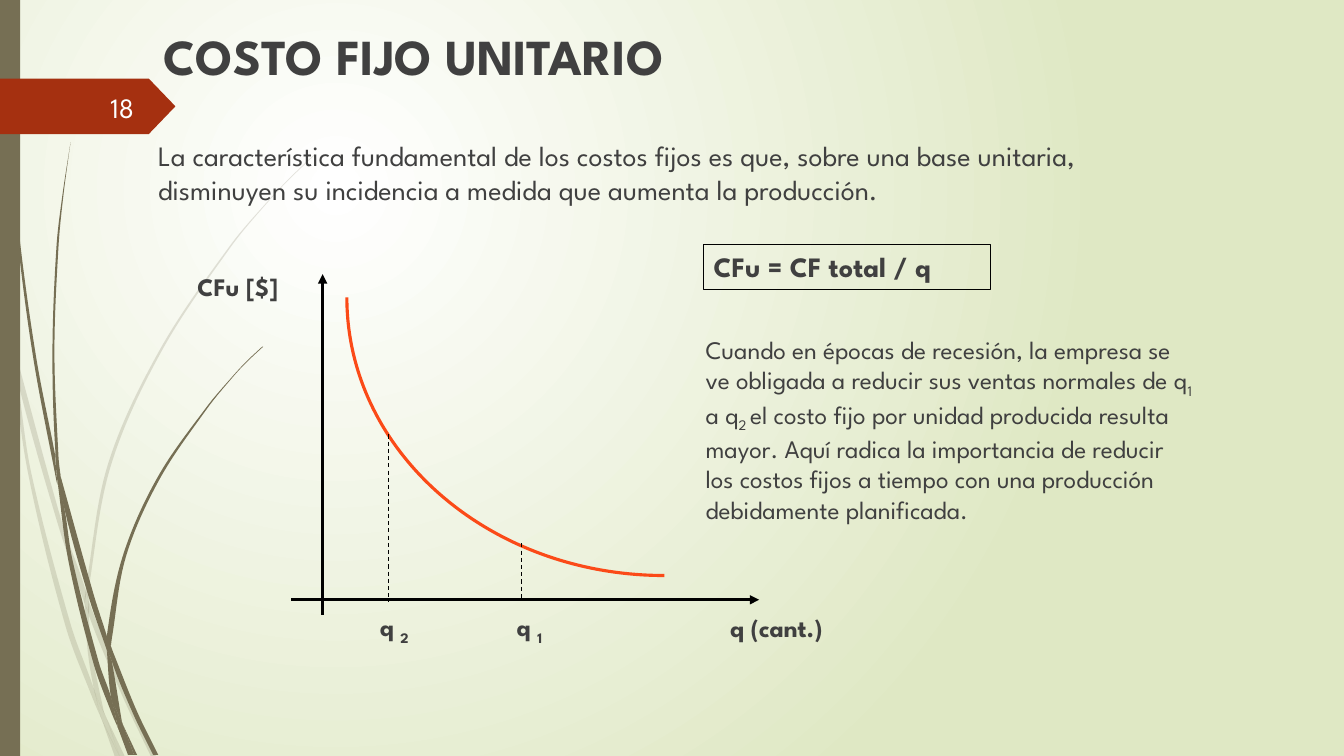
"""Build the slide on unit fixed cost."""
from math import dist

from pptx import Presentation
from pptx.dml.color import RGBColor
from pptx.enum.dml import MSO_LINE
from pptx.enum.shapes import MSO_CONNECTOR, MSO_SHAPE
from pptx.enum.text import MSO_ANCHOR, PP_ALIGN
from pptx.oxml import parse_xml
from pptx.oxml.ns import nsdecls, qn
from pptx.oxml.xmlchemy import OxmlElement
from pptx.util import Inches, Pt

FONT = "League Spartan"
COLORS = {"text": "404040", "white": "FFFFFF", "pale": "DFE8C4", "olive": "766F54",
          "red": "A53010", "curve": "FB4A18", "axis": "000000", "number": "FEFFFF"}

TITLE, FORMULA, PAGE = "COSTO FIJO UNITARIO", "CFu = CF total / q", "18"
INTRO = ("La característica fundamental de los costos fijos es que, sobre una base unitaria, "
         "disminuyen su incidencia a medida que aumenta la producción.")
RECESSION = [
    ("Cuando en épocas de recesión, la empresa se ve obligada a reducir sus ventas "
     "normales de q", False),
    ("1", True), (" a q", False), ("2 ", True),
    ("el costo fijo por unidad producida resulta mayor. Aquí radica la importancia de reducir "
     "los costos fijos a tiempo con una producción debidamente planificada.", False)]

# box, runs as (text, subscript), size, bold, alignment
TEXTS = [
    ((1.47, 1.33, 10.3, 0.77), [(INTRO, False)], 20, False, PP_ALIGN.LEFT),
    ((1.86, 2.64, 1.34, 0.4), [("CFu [$]", False)], 18, True, PP_ALIGN.LEFT),
    ((7.14, 6.03, 1.34, 0.4), [("q (cant.)", False)], 18, True, PP_ALIGN.LEFT),
    ((3.36, 6.02, 1.1, 0.4), [("q ", False), ("2", True)], 18, True, PP_ALIGN.CENTER),
    ((4.7, 6.02, 1.1, 0.4), [("q ", False), ("1", True)], 18, True, PP_ALIGN.CENTER),
    ((6.9, 3.27, 5.04, 2.2), RECESSION, 18, False, PP_ALIGN.LEFT)]

AXES = [(3.2, 6.1, 3.2, 2.72), (2.89, 5.95, 7.53, 5.95)]
GUIDES = [(3.85, 4.31, 3.85, 5.96), (5.17, 5.39, 5.17, 5.95)]
COST_START, COST_CURVE = (6.59, 5.71), [((4.85, 5.71), (3.44, 4.48), (3.44, 2.95))]

PALE_GRASS = [
    [(0.11, 3.5), (0.09, 3.22), (0, 2.82), (0, 2.99), (0.1, 3.44)],
    [(0.58, 5.22), (0.84, 5.99), (0.85, 5.86), (0.62, 5.2), (0.14, 3.45), (0.17, 3.76)],
    [(0.92, 6.07), (0.88, 5.96), (0.88, 6.1), (1.23, 6.94), (1.5, 7.51), (1.55, 7.51),
     (1.27, 6.92)],
    [(1.19, 7.51), (1.24, 7.51), (1.05, 7.11)],
    [(0.93, 6.83), (0.7, 6.19), (0.31, 4.69), (0.17, 3.76), (0.11, 3.5), (0.28, 4.7),
     (0.65, 6.21), (0.92, 6.93), (1.01, 7.14), (0.99, 7.07)],
    [(0.84, 5.99), (0.87, 6.46), (0.93, 6.83), (0.96, 6.92), (1.05, 7.11), (1.03, 7.06),
     (0.91, 6.46), (0.88, 6.1), (0.88, 6.08)],
    [(0.88, 5.84), (1.1, 4.62), (1.6, 3.49), (2.29, 2.45), (2.68, 1.98), (2.9, 1.75),
     (3.12, 1.54), (3.12, 1.53), (2.89, 1.75), (2.68, 1.97), (2.28, 2.44), (1.58, 3.48),
     (1.07, 4.61), (0.85, 5.84), (0.85, 5.86), (0.88, 5.96)],
    [(1.01, 7.14), (1.14, 7.51), (1.19, 7.51)],
    [(0.88, 6.08), (0.88, 6.1), (0.88, 5.96), (0.85, 5.86), (0.84, 5.99)],
    [(0.96, 6.92), (0.93, 6.83), (0.99, 7.07), (1.01, 7.14), (1.19, 7.51), (1.05, 7.11)]]
DARK_GRASS = [
    [(0.07, 1.1), (0.17, 2.33), (0.33, 3.55), (0.56, 4.77), (0.57, 4.81), (0.55, 4.57),
     (0.55, 4.53), (0.36, 3.55), (0.19, 2.32), (0.08, 1.09), (0.05, 0.48), (0.04, 0),
     (0.03, 0), (0.04, 0.48)],
    [(0.88, 5.92), (1.06, 6.45), (1.06, 6.33), (1.06, 6.31), (0.93, 5.9), (0.6, 4.72),
     (0.64, 5.05)],
    [(1.13, 6.49), (1.1, 6.41), (1.11, 6.56), (1.32, 7.08), (1.52, 7.49), (1.57, 7.49),
     (1.36, 7.06)],
    [(1.1, 6.91), (0.98, 6.57), (0.72, 5.56), (0.64, 5.05), (0.57, 4.77), (0.68, 5.57),
     (0.93, 6.59), (1.11, 7.08), (1.17, 7.22), (1.16, 7.17)],
    [(0.6, 4.72), (0.58, 4.53), (0.54, 3.49), (0.58, 2.45), (0.63, 1.93), (0.7, 1.41),
     (0.62, 1.93), (0.56, 2.45), (0.52, 3.49), (0.55, 4.49)],
    [(1.33, 7.49), (1.36, 7.49), (1.22, 7.19)],
    [(0.57, 4.77), (0.64, 5.05), (0.6, 4.72), (0.55, 4.49), (0.55, 4.53)],
    [(1.11, 6.33), (1.25, 5.52), (1.58, 4.76), (2.05, 4.06), (2.31, 3.74), (2.45, 3.59),
     (2.61, 3.44), (2.6, 3.44), (2.45, 3.58), (2.31, 3.73), (2.04, 4.05), (1.56, 4.74),
     (1.22, 5.51), (1.06, 6.31), (1.1, 6.41)],
    [(1.17, 7.22), (1.27, 7.49), (1.31, 7.49)],
    [(1.06, 6.45), (1.1, 6.91), (1.16, 7.06), (1.22, 7.19), (1.21, 7.16), (1.11, 6.56),
     (1.09, 6.51)],
    [(1.06, 6.45), (1.09, 6.51), (1.11, 6.56), (1.1, 6.41), (1.06, 6.31), (1.06, 6.33)],
    [(1.16, 7.06), (1.1, 6.91), (1.16, 7.17), (1.17, 7.22), (1.3, 7.49), (1.33, 7.49),
     (1.22, 7.19)]]


def rgb(name):
    return RGBColor.from_string(COLORS[name])


def smooth(points):
    """Return cubic segments through a closed outline, keeping sharp corners."""
    def handle(before, at, after, sign):
        (ax, ay), (bx, by), (cx, cy) = before, at, after
        d_in, d_out = dist(before, at), dist(at, after)
        near, length = (after, d_out) if sign > 0 else (before, d_in)
        if (bx - ax) * (cx - bx) + (by - ay) * (cy - by) < 0.8 * d_in * d_out:
            return bx + (near[0] - bx) / 3, by + (near[1] - by) / 3
        k = sign * length / 3 / dist(before, after)
        return bx + k * (cx - ax), by + k * (cy - ay)

    n = len(points)
    for i in range(n):
        a, b, c, d = (points[(i + j) % n] for j in (-1, 0, 1, 2))
        yield handle(a, b, c, 1), handle(b, c, d, -1), c


def add_curves(shapes, start, segments, close):
    segments = list(segments)
    builder = shapes.build_freeform(*map(Inches, start))
    builder.add_line_segments([tuple(map(Inches, seg[2])) for seg in segments], close=close)
    sp = builder.convert_to_shape()
    sp.shadow.inherit = False
    for line, seg in zip(sp._element.findall(".//" + qn("a:lnTo")), segments):
        bezier = OxmlElement("a:cubicBezTo")
        for x, y in seg:
            pt = OxmlElement("a:pt")
            pt.set("x", str(Inches(x) - sp.left))
            pt.set("y", str(Inches(y) - sp.top))
            bezier.append(pt)
        line.getparent().replace(line, bezier)
    return sp


def fill_shape(sp, color):
    sp.fill.solid()
    sp.fill.fore_color.rgb = rgb(color)
    sp.line.fill.background()


def add_preset(s, kind, box):
    sp = s.shapes.add_shape(kind, *map(Inches, box))
    sp.shadow.inherit = False
    return sp


def add_line(s, ends, width):
    sp = s.shapes.add_connector(MSO_CONNECTOR.STRAIGHT, *map(Inches, ends))
    sp.line.color.rgb, sp.line.width = rgb("axis"), Pt(width)
    sp._element.spPr.append(OxmlElement("a:effectLst"))
    return sp


def write(sp, runs, size, bold=False, align=PP_ALIGN.LEFT, color="text", anchor=MSO_ANCHOR.TOP):
    tf = sp.text_frame
    tf.word_wrap, tf.vertical_anchor = True, anchor
    p = tf.paragraphs[0]
    p.alignment = align
    p.font.name, p.font.size, p.font.bold = FONT, Pt(size), bold
    p.font.color.rgb = rgb(color)
    for text, subscript in runs:
        r = p.add_run()
        r.text = text
        if subscript:
            r.font._element.set("baseline", "-25000")


def add_background(s):
    fill = s.background.fill
    fill.gradient()
    for stop, color, position in zip(fill.gradient_stops, ("white", "pale"), (0, 1)):
        stop.color.rgb, stop.position = rgb(color), position
    lin = s.element.find(".//" + qn("a:lin"))
    lin.getparent().replace(lin, parse_xml(
        f'<a:path {nsdecls("a")} path="circle">'
        '<a:fillToRect l="50000" t="50000" r="100000" b="100000"/></a:path>'))


def add_decoration(s):
    for blades, alpha in ((PALE_GRASS, 20000), (DARK_GRASS, 100000)):
        grass = s.shapes.add_group_shape()
        for points in blades:
            sp = add_curves(grass.shapes, points[0], smooth(points), True)
            fill_shape(sp, "olive")
            clr = sp._element.spPr.find(".//" + qn("a:srgbClr"))
            clr.append(parse_xml(f'<a:alpha {nsdecls("a")} val="{alpha}"/>'))
    fill_shape(add_preset(s, MSO_SHAPE.RECTANGLE, (0, 0, 0.2, 7.5)), "olive")
    tag = add_preset(s, MSO_SHAPE.PENTAGON, (0, 0.78, 1.74, 0.55))
    tag.adjustments[0] = 0.48
    fill_shape(tag, "red")


def add_graph(s):
    for ends in AXES:
        ln = add_line(s, ends, 2.25).line._get_or_add_ln()
        ln.append(parse_xml(f'<a:tailEnd {nsdecls("a")} type="triangle"/>'))
    curve = add_curves(s.shapes, COST_START, COST_CURVE, False)
    curve.fill.background()
    curve.line.color.rgb, curve.line.width = rgb("curve"), Pt(2.25)
    for ends in GUIDES:
        add_line(s, ends, 0.75).line.dash_style = MSO_LINE.DASH


def main():
    prs = Presentation()
    prs.slide_width, prs.slide_height = Inches(13.33), Inches(7.5)
    s = prs.slides.add_slide(prs.slide_layouts[5])
    add_background(s)
    add_decoration(s)
    title = s.shapes.title
    title.left, title.top, title.width, title.height = map(Inches, (1.52, 0.2, 8.61, 0.7))
    write(title, [(TITLE, False)], 36, bold=True)
    add_graph(s)
    for box, *style in TEXTS:
        write(s.shapes.add_textbox(*map(Inches, box)), *style)
    formula = add_preset(s, MSO_SHAPE.RECTANGLE, (6.98, 2.43, 2.84, 0.44))
    formula.fill.background()
    formula.line.color.rgb, formula.line.width = rgb("axis"), Pt(0.75)
    write(formula, [(FORMULA, False)], 20, bold=True)
    number = s.shapes.add_textbox(*map(Inches, (0.58, 0.86, 0.85, 0.4)))
    write(number, [(PAGE, False)], 20, False, PP_ALIGN.RIGHT, "number", MSO_ANCHOR.MIDDLE)
    prs.save("out.pptx")


if __name__ == "__main__":
    main()
